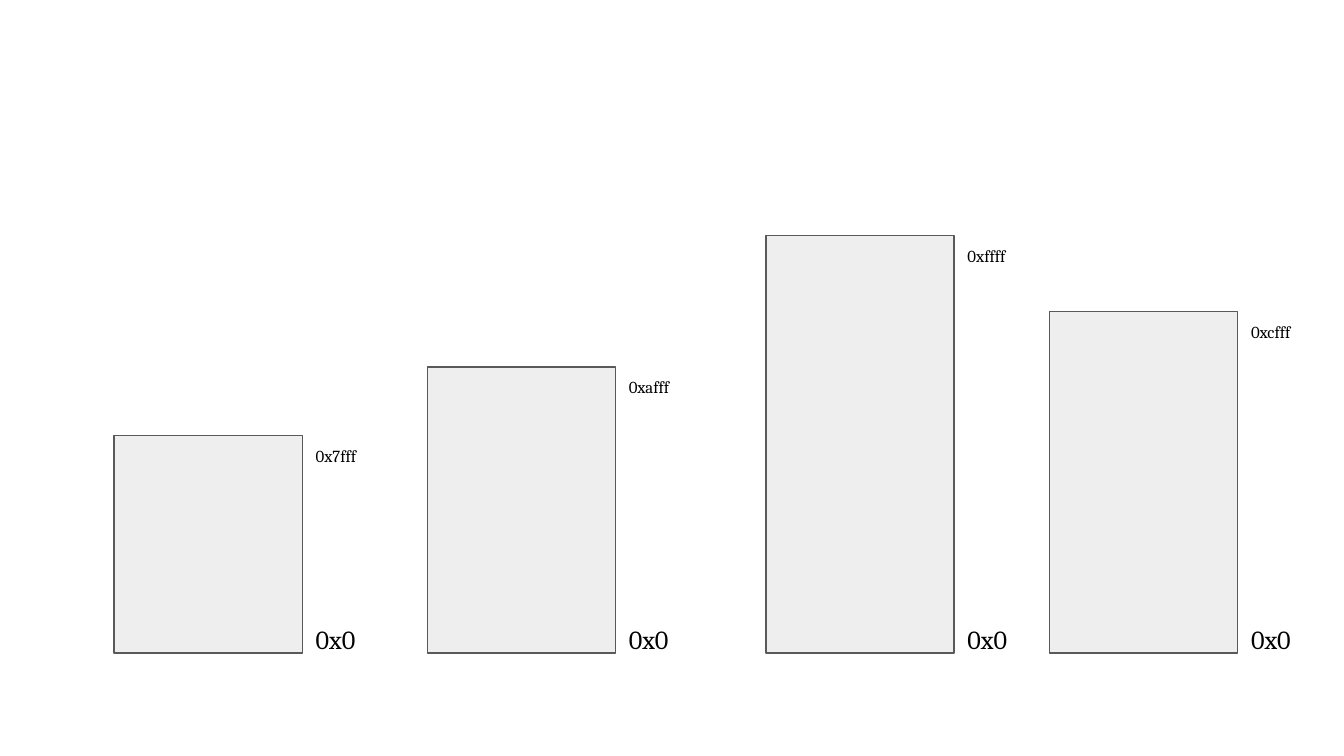
import dataclasses

import pptx
import pptx.dml.color
import pptx.enum.shapes
import pptx.enum.text
import pptx.util

Inches = pptx.util.Inches


@dataclasses.dataclass(frozen=True)
class Theme:
    """Colours, font and type sizes of the slide."""
    fill: str = "EEEEEE"
    outline: str = "595959"
    text: str = "000000"
    font: str = "Cambria"
    base_size: int = 14
    limit_size: int = 9


THEME = Theme()
BLOCK_WIDTH = 1.4
BLOCK_BOTTOM = 4.86
LABEL_WIDTH = 0.55
BASE_LABEL_TOP = 4.54

# Left edge, top edge and highest address of each memory block
MEMORY_BLOCKS = [
    (0.85, 3.24, "0x7fff"),
    (3.18, 2.73, "0xafff"),
    (7.81, 2.32, "0xcfff"),
    (5.7, 1.75, "0xffff"),
]


def rgb(value):
    """Turn a hex string into a colour."""
    return pptx.dml.color.RGBColor.from_string(value)


def add_block(page, left, top):
    """Draw one memory block standing on the common base line."""
    block = page.shapes.add_shape(
        pptx.enum.shapes.MSO_SHAPE.RECTANGLE, Inches(left), Inches(top),
        Inches(BLOCK_WIDTH), Inches(BLOCK_BOTTOM - top))
    block.shadow.inherit = False
    block.fill.solid()
    block.fill.fore_color.rgb = rgb(THEME.fill)
    block.line.color.rgb = rgb(THEME.outline)
    block.line.width = pptx.util.Pt(0.75)


def add_label(page, left, top, height, text, size):
    """Write an address beside a block."""
    box = page.shapes.add_textbox(
        Inches(left), Inches(top), Inches(LABEL_WIDTH), Inches(height))
    frame = box.text_frame
    frame.word_wrap = True
    frame.auto_size = pptx.enum.text.MSO_AUTO_SIZE.SHAPE_TO_FIT_TEXT
    frame.margin_left = frame.margin_right = Inches(0.1)
    frame.margin_top = frame.margin_bottom = Inches(0.1)
    para = frame.paragraphs[0]
    para.text = text
    para.font.name = THEME.font
    para.font.size = pptx.util.Pt(size)
    para.font.color.rgb = rgb(THEME.text)


def main():
    """Build the slide and save it."""
    deck = pptx.Presentation()
    deck.slide_width = Inches(10)
    deck.slide_height = deck.slide_width * 9 // 16
    page = deck.slides.add_slide(deck.slide_layouts[6])
    for left, top, _ in MEMORY_BLOCKS:
        add_block(page, left, top)
    for left, top, limit in MEMORY_BLOCKS:
        label_left = left + BLOCK_WIDTH
        add_label(page, label_left, BASE_LABEL_TOP, 0.44, "0x0", THEME.base_size)
        add_label(page, label_left, top, 0.35, limit, THEME.limit_size)
    deck.save("out.pptx")


main()
